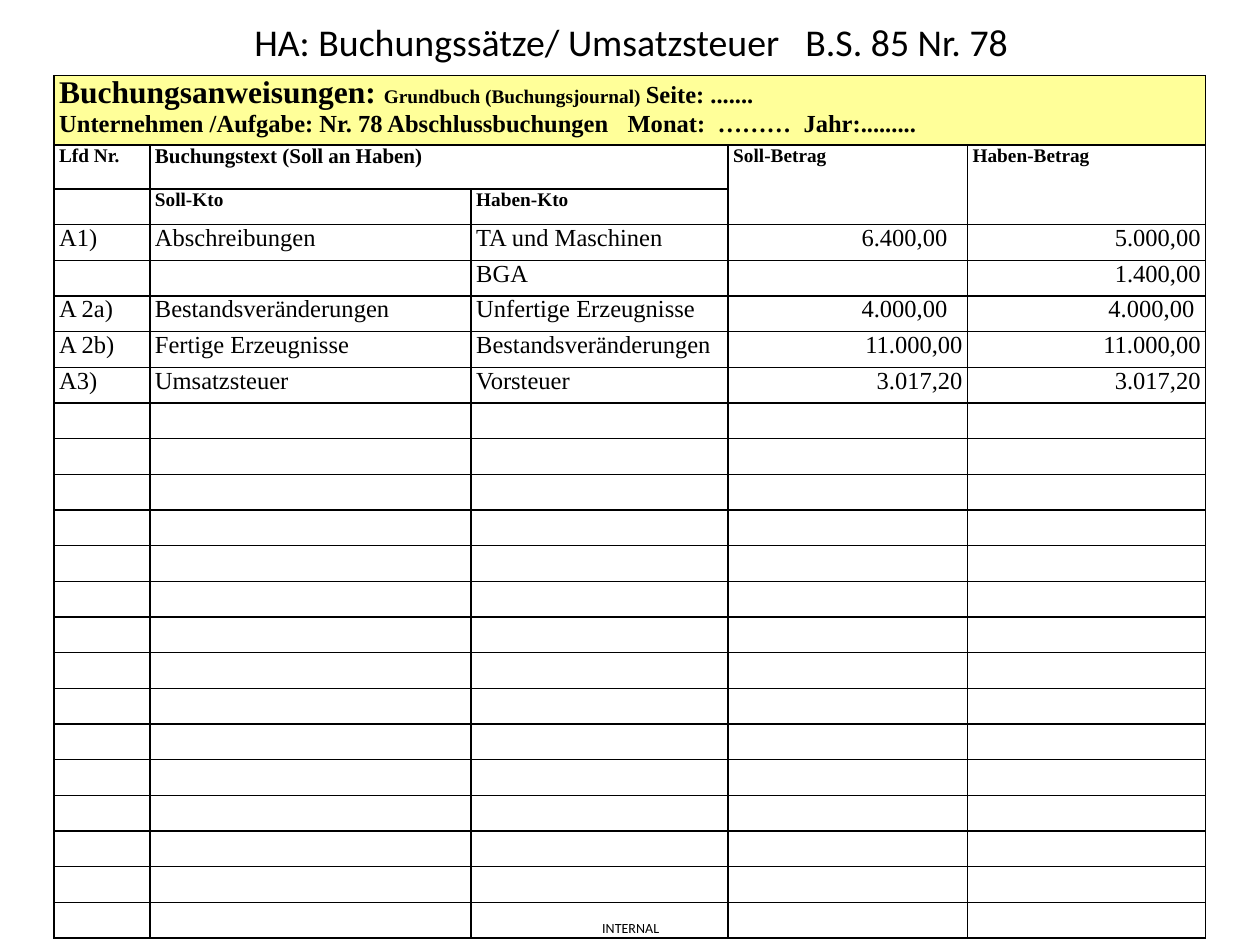
from dataclasses import dataclass
from typing import Sequence

from lxml.etree import SubElement
from pptx import Presentation
from pptx.dml.color import RGBColor
from pptx.enum.text import MSO_ANCHOR as Anchor, PP_ALIGN as Align
from pptx.oxml.ns import qn
from pptx.util import Inches, Pt

SANS, SERIF = "Calibri", "Times New Roman"
BLACK, YELLOW = "000000", "FFFF99"
SIDE_MARGIN = 0.04
COLUMN_WIDTHS = [0.76, 2.55, 2.04, 1.9, 1.89]
ROW_COUNT = 23
BANNER_HEIGHT, HEADING_HEIGHT, TABLE_HEIGHT = 0.55, 0.35, 6.85


@dataclass
class Span:
    text: str
    size: float
    bold: bool = False
    font: str = SERIF
    spacing: float = 0


@dataclass
class Heading:
    row: int
    column: int
    text: str
    size: float = 11


@dataclass
class Entry:
    number: str
    debit_account: str
    credit_account: str
    debit: str
    credit: str
    debit_margin: float = SIDE_MARGIN
    credit_margin: float = SIDE_MARGIN


BANNER = [
    [
        Span("Buchungsanweisungen: ", 18, True),
        Span("Grundbuch (Buchungsjournal) ", 11, True),
        Span("Seite: .......", 14, True),
    ],
    [
        Span("Unternehmen /Aufgabe: Nr. 78 Abschlussbuchungen", 14, True),
        Span(" ", 14, True, spacing=7),
        Span("Monat:", 14, True),
        Span(" ", 14, True, spacing=3.5),
        Span("………", 14, True),
        Span(" ", 14, True, spacing=3.5),
        Span("Jahr:.........", 14, True),
    ],
]
HEADINGS = [
    Heading(1, 0, "Lfd Nr."),
    Heading(1, 1, "Buchungstext (Soll an Haben)", 12),
    Heading(1, 3, "Soll-Betrag"),
    Heading(1, 4, "Haben-Betrag"),
    Heading(2, 1, "Soll-Kto"),
    Heading(2, 2, "Haben-Kto"),
]
ENTRIES = [
    Entry("A1)", "Abschreibungen", "TA und Maschinen", "6.400,00", "5.000,00", 0.16),
    Entry("", "", "BGA", "", "1.400,00"),
    Entry("A 2a)", "Bestandsveränderungen", "Unfertige Erzeugnisse",
          "4.000,00", "4.000,00", 0.16, 0.09),
    Entry("A 2b)", "Fertige Erzeugnisse", "Bestandsveränderungen",
          "11.000,00", "11.000,00"),
    Entry("A3)", "Umsatzsteuer", "Vorsteuer", "3.017,20", "3.017,20"),
]


def colour(value: str) -> RGBColor:
    return RGBColor.from_string(value)


def write(frame, lines: Sequence[Sequence[Span]], *, align=Align.LEFT) -> None:
    para = frame.paragraphs[0]
    para.alignment = align
    for index, line in enumerate(lines):
        if index:
            para.add_line_break()
        for item in line:
            span = para.add_run()
            span.text = item.text
            span.font.name = item.font
            span.font.size = Pt(item.size)
            span.font.bold = item.bold
            span.font.color.rgb = colour(BLACK)
            if item.spacing:
                span.font._element.set("spc", str(round(item.spacing * 100)))


def add_label(page, left: float, top: float, width: float, height: float,
              spans: Sequence[Span], *, align=Align.LEFT, anchor=Anchor.TOP,
              wrap: bool = False) -> None:
    box = page.shapes.add_textbox(
        Inches(left), Inches(top), Inches(width), Inches(height))
    frame = box.text_frame
    frame.word_wrap = wrap
    frame.vertical_anchor = anchor
    frame.margin_left = frame.margin_right = 0
    frame.margin_top = frame.margin_bottom = 0
    write(frame, [spans], align=align)


def style_cell(cell) -> None:
    cell.margin_left = cell.margin_right = Inches(SIDE_MARGIN)
    cell.margin_top = cell.margin_bottom = 0
    properties = cell._tc.get_or_add_tcPr()
    for side in ("a:lnL", "a:lnR", "a:lnT", "a:lnB"):
        line = SubElement(properties, qn(side), w=str(Pt(1)))
        solid = SubElement(line, qn("a:solidFill"))
        SubElement(solid, qn("a:srgbClr"), val=BLACK)
    cell.fill.background()
    ending = SubElement(cell.text_frame.paragraphs[0]._p, qn("a:endParaRPr"))
    ending.set("sz", "1100")


def fill_entry(table, row: int, entry: Entry) -> None:
    values = (entry.number, entry.debit_account, entry.credit_account,
              entry.debit, entry.credit)
    for column, text in enumerate(values):
        if text:
            align = Align.RIGHT if column >= 3 else Align.LEFT
            write(table.cell(row, column).text_frame, [[Span(text, 14)]], align=align)
    table.cell(row, 3).margin_right = Inches(entry.debit_margin)
    table.cell(row, 4).margin_right = Inches(entry.credit_margin)


def add_journal(page) -> None:
    table = page.shapes.add_table(
        ROW_COUNT, len(COLUMN_WIDTHS), Inches(0.43), Inches(0.6),
        Inches(sum(COLUMN_WIDTHS)), Inches(TABLE_HEIGHT)).table
    table.first_row = table.horz_banding = False
    for column, width in zip(table.columns, COLUMN_WIDTHS):
        column.width = Inches(width)
    entry_height = (TABLE_HEIGHT - BANNER_HEIGHT - HEADING_HEIGHT) / (ROW_COUNT - 2)
    heights = [BANNER_HEIGHT, HEADING_HEIGHT] + [entry_height] * (ROW_COUNT - 2)
    for row, height in zip(table.rows, heights):
        row.height = Inches(height)
    for cell in table.iter_cells():
        style_cell(cell)

    banner = table.cell(0, 0)
    banner.merge(table.cell(0, 4))
    banner.fill.solid()
    banner.fill.fore_color.rgb = colour(YELLOW)
    write(banner.text_frame, BANNER)

    table.cell(1, 1).merge(table.cell(1, 2))
    for column in (3, 4):
        table.cell(1, column).merge(table.cell(2, column))
    for heading in HEADINGS:
        cell = table.cell(heading.row, heading.column)
        write(cell.text_frame, [[Span(heading.text, heading.size, True)]])
    for row, entry in enumerate(ENTRIES, start=3):
        fill_entry(table, row, entry)


def main() -> None:
    deck = Presentation()
    deck.slide_width, deck.slide_height = Inches(10), Inches(7.5)
    page = deck.slides.add_slide(deck.slide_layouts[6])
    add_label(page, 4.78, 7.3, 0.47, 0.13, [Span("INTERNAL", 8, font=SANS)])
    title = [
        Span("HA: Buchungssätze/ Umsatzsteuer", 21.6, font=SANS),
        Span(" ", 21.6, font=SANS, spacing=9.8),
        Span("B.S. 85 Nr. 78", 21.6, font=SANS),
    ]
    add_label(page, 0.51, 0.13, 9, 0.39, title,
              align=Align.CENTER, anchor=Anchor.MIDDLE, wrap=True)
    add_journal(page)
    deck.save("out.pptx")


if __name__ == "__main__":
    main()
